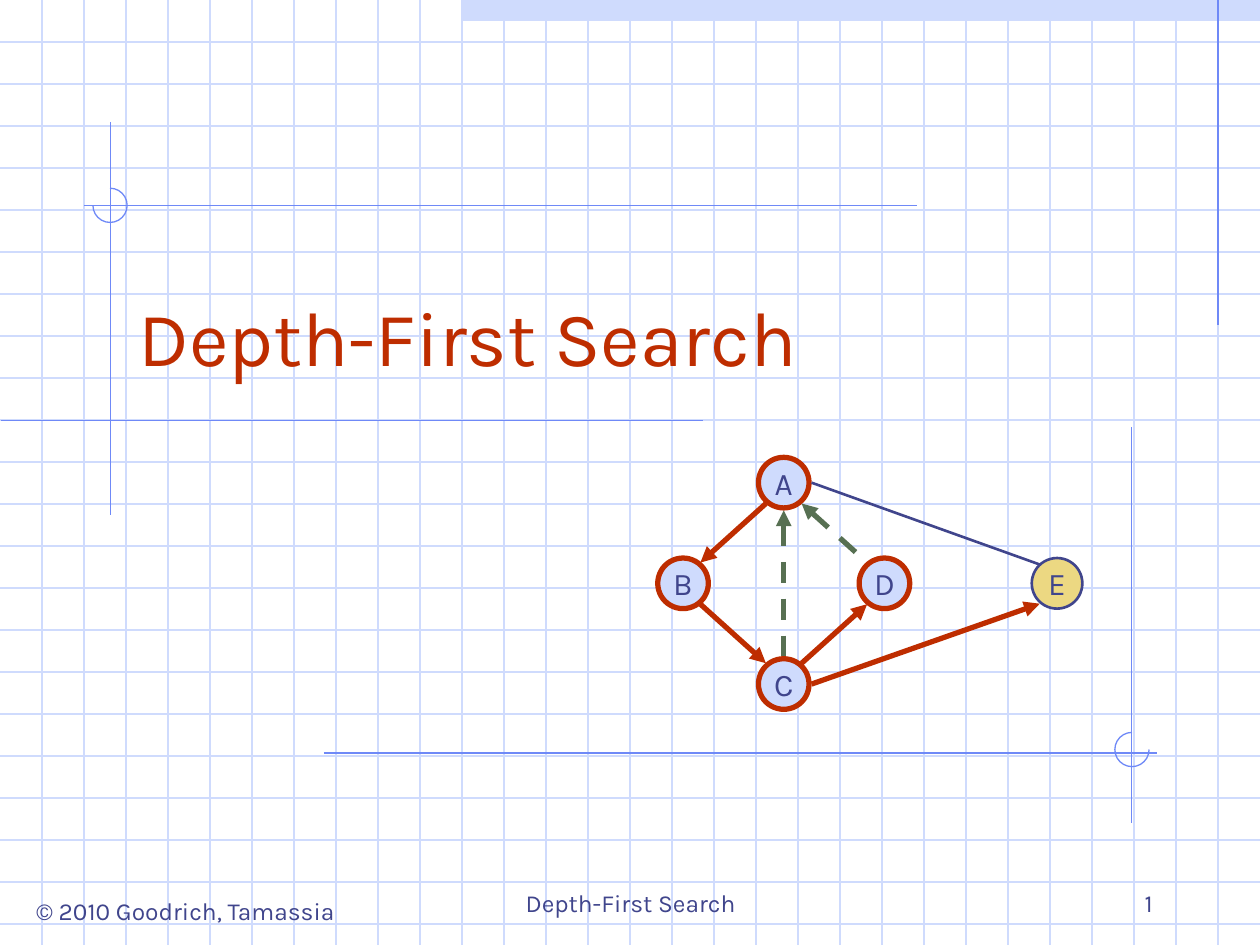
"""Build the title slide of a lecture on depth-first search."""
from dataclasses import dataclass

from lxml import etree
from pptx import Presentation
from pptx.dml.color import RGBColor
from pptx.enum.dml import MSO_LINE
from pptx.enum.shapes import MSO_CONNECTOR, MSO_SHAPE
from pptx.enum.text import MSO_ANCHOR, PP_ALIGN
from pptx.oxml.ns import qn
from pptx.util import Cm, Pt

STRAIGHT = MSO_CONNECTOR.STRAIGHT
OVAL, RECTANGLE, ARC = MSO_SHAPE.OVAL, MSO_SHAPE.RECTANGLE, MSO_SHAPE.ARC
LEFT, CENTER, RIGHT = PP_ALIGN.LEFT, PP_ALIGN.CENTER, PP_ALIGN.RIGHT
TOP, MIDDLE, BOTTOM = MSO_ANCHOR.TOP, MSO_ANCHOR.MIDDLE, MSO_ANCHOR.BOTTOM
DASH = MSO_LINE.DASH

WIDTH, HEIGHT = 25.4, 19.05
PITCH = WIDTH / 30
NODE_SIZE, ARC_SIZE = 1.02, 0.69


@dataclass(frozen=True)
class Theme:
    """Colours, font and sizes of the slide."""
    pale: RGBColor = RGBColor.from_string("CFDBFD")
    rule: RGBColor = RGBColor.from_string("6F89F7")
    ink: RGBColor = RGBColor.from_string("40458C")
    red: RGBColor = RGBColor.from_string("BE2D00")
    green: RGBColor = RGBColor.from_string("577052")
    sand: RGBColor = RGBColor.from_string("ECD882")
    font: str = "Karla"
    title: float = 44
    label: float = 18
    footer: float = 14
    hairline: float = 0.75
    thin: float = 1.5
    thick: float = 3


def apply(target, values):
    """Set every attribute named in values on target."""
    for name, value in values.items():
        setattr(target, name, value)


class Painter:
    """Holds the theme and the current page, and draws elements in centimetres."""

    def __init__(self, page, theme):
        self.page = page
        self.theme = theme

    def stroke(self, shape, color, width):
        """Give a shape or connector its line."""
        shape.line.color.rgb = color
        shape.line.width = Pt(width)

    def letter(self, shape, text, size, color, **frame_format):
        """Put one styled paragraph into a shape."""
        align = frame_format.pop("align", CENTER)
        apply(shape.text_frame, {"word_wrap": True, **frame_format})
        para = shape.text_frame.paragraphs[0]
        para.alignment = align
        span = para.add_run()
        span.text = text
        apply(span.font, {"name": self.theme.font, "size": Pt(size)})
        span.font.color.rgb = color

    def text(self, bounds, text, size, color, **frame_format):
        """Add a text box."""
        box = self.page.shapes.add_textbox(*map(Cm, bounds))
        self.letter(box, text, size, color, **frame_format)

    def shape(self, kind, bounds, fill=None):
        """Add a preset shape without shadow or line."""
        shape = self.page.shapes.add_shape(kind, *map(Cm, bounds))
        shape.shadow.inherit = False
        shape.line.fill.background()
        if fill is None:
            shape.fill.background()
        else:
            shape.fill.solid()
            shape.fill.fore_color.rgb = fill
        return shape

    def line(self, start, end, color, width, dash=None, arrow=None):
        """Add a straight line; arrow is headEnd, tailEnd or None."""
        line = self.page.shapes.add_connector(STRAIGHT, *map(Cm, (*start, *end)))
        self.stroke(line, color, width)
        line.line.dash_style = dash
        properties = line._element.spPr
        if arrow:
            outline = properties.find(qn("a:ln"))
            etree.SubElement(outline, qn(f"a:{arrow}"), type="triangle")
        etree.SubElement(properties, qn("a:effectLst"))

    def arc(self, center, first, last):
        """Add an open arc running clockwise between two angles in degrees."""
        x, y = center
        bounds = (x - ARC_SIZE / 2, y - ARC_SIZE / 2, ARC_SIZE, ARC_SIZE)
        arc = self.shape(ARC, bounds)
        arc.adjustments[0], arc.adjustments[1] = first * 0.6, last * 0.6
        self.stroke(arc, self.theme.rule, self.theme.hairline)

    def node(self, name, center, fill, color, width):
        """Add a lettered graph vertex."""
        x, y = center
        bounds = (x - NODE_SIZE / 2, y - NODE_SIZE / 2, NODE_SIZE, NODE_SIZE)
        node = self.shape(OVAL, bounds, fill)
        self.stroke(node, color, width)
        self.letter(node, name, self.theme.label, self.theme.ink,
                    vertical_anchor=MIDDLE, word_wrap=False)


def draw_background(painter):
    """Draw the squared paper, the top bar and the construction lines."""
    theme = painter.theme
    painter.shape(RECTANGLE, (11 * PITCH, 0, WIDTH - 11 * PITCH, PITCH / 2), theme.pale)
    for row in range(1, 23):
        painter.line((0, row * PITCH), (WIDTH, row * PITCH), theme.pale, theme.hairline)
    for column in range(1, 30):
        painter.line((column * PITCH, 0), (column * PITCH, HEIGHT), theme.pale, theme.hairline)
    rules = [
        ((29 * PITCH, 0), (29 * PITCH, 6.55)),
        ((2.23, 2.46), (2.23, 10.39)),
        ((0.03, 8.48), (14.17, 8.48)),
        ((1.7, 4.14), (18.49, 4.14)),
        ((6.53, 15.18), (23.32, 15.18)),
        ((22.81, 8.61), (22.81, 16.59)),
    ]
    for start, end in rules:
        painter.line(start, end, theme.rule, theme.hairline)
    painter.arc((2.22, 4.14), 270, 180)
    painter.arc((22.82, 15.11), 0, 270)


def draw_text(painter):
    """Set the title and the footer."""
    theme = painter.theme
    painter.text((0.3, 17.93, 6.88, 0.86), "© 2010 Goodrich, Tamassia",
                 theme.footer, theme.ink, vertical_anchor=TOP, word_wrap=False)
    painter.text((8.69, 17.35, 8.05, 1.27), "Depth-First Search",
                 theme.footer, theme.ink, vertical_anchor=BOTTOM)
    painter.text((18.21, 17.35, 5.28, 1.27), "1",
                 theme.footer, theme.ink, vertical_anchor=BOTTOM, align=RIGHT)
    painter.text((2.54, 4.65, 21.59, 3.18), "Depth-First Search",
                 theme.title, theme.red, vertical_anchor=BOTTOM, align=LEFT)


def draw_graph(painter):
    """Draw the vertices and the tree, back and unexplored edges."""
    theme = painter.theme
    x, y, step = 15.8, 11.76, 2.03
    visited = {"D": (x + step, y), "B": (x - step, y), "A": (x, y - step), "C": (x, y + step)}
    for name, center in visited.items():
        painter.node(name, center, theme.pale, theme.red, theme.thick)
    painter.node("E", (21.31, y), theme.sand, theme.ink, theme.thin)

    tree = {"color": theme.red, "width": theme.thick}
    back = {"color": theme.green, "width": theme.thick, "dash": DASH, "arrow": "headEnd"}
    diagonals = [
        (-1, -1, {**tree, "arrow": "tailEnd"}),
        (-1, 1, {**tree, "arrow": "headEnd"}),
        (1, 1, {**tree, "arrow": "tailEnd"}),
        (1, -1, back),
    ]
    for side, level, style in diagonals:
        painter.line((x + side * 0.36, y + level * 1.61),
                     (x + side * 1.68, y + level * 0.42), **style)
    painter.line((x, 10.29), (x, 13.23), **back)
    painter.line((x + 0.56, y + step), (20.96, 12.17), **tree, arrow="tailEnd")
    painter.line((20.96, 11.38), (x + 0.56, y - step), theme.ink, theme.thin)


def main():
    """Build and save the deck."""
    deck = Presentation()
    apply(deck, {"slide_width": Cm(WIDTH), "slide_height": Cm(HEIGHT)})
    painter = Painter(deck.slides.add_slide(deck.slide_layouts[6]), Theme())
    draw_background(painter)
    draw_text(painter)
    draw_graph(painter)
    deck.save("out.pptx")


if __name__ == "__main__":
    main()
